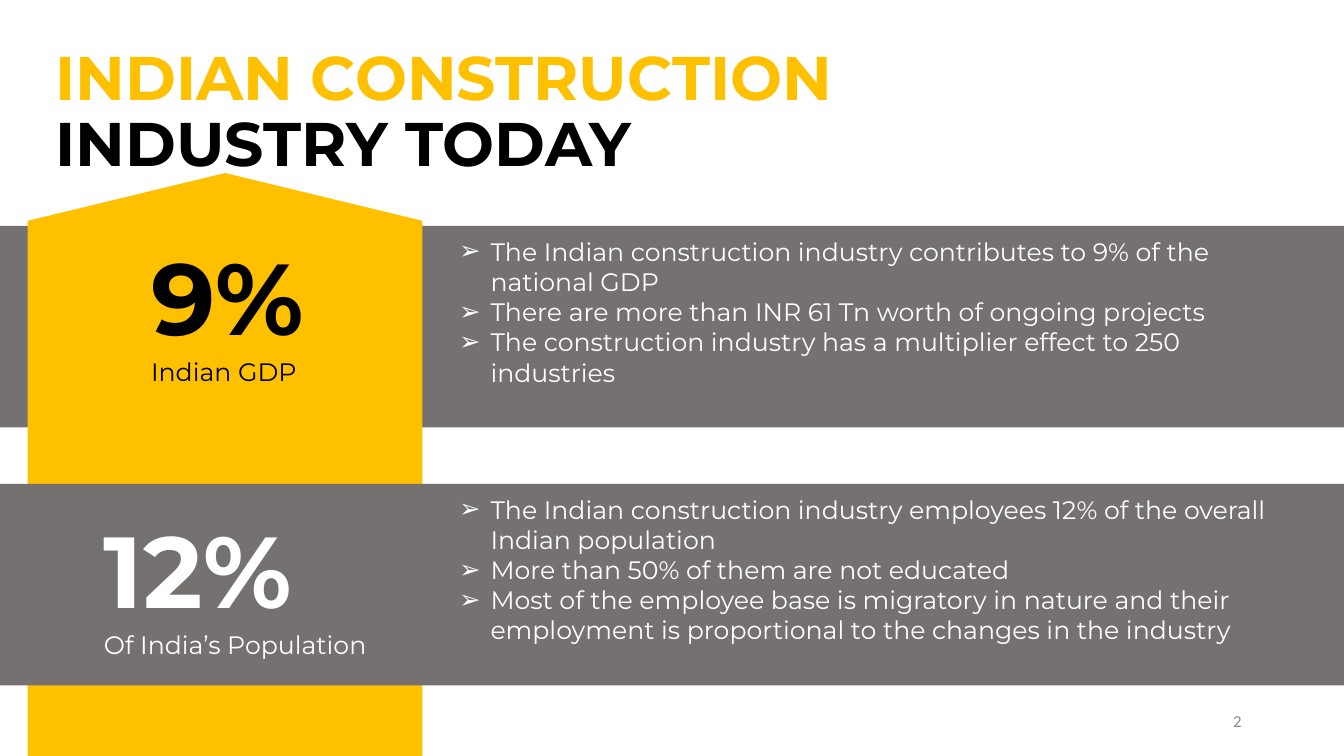
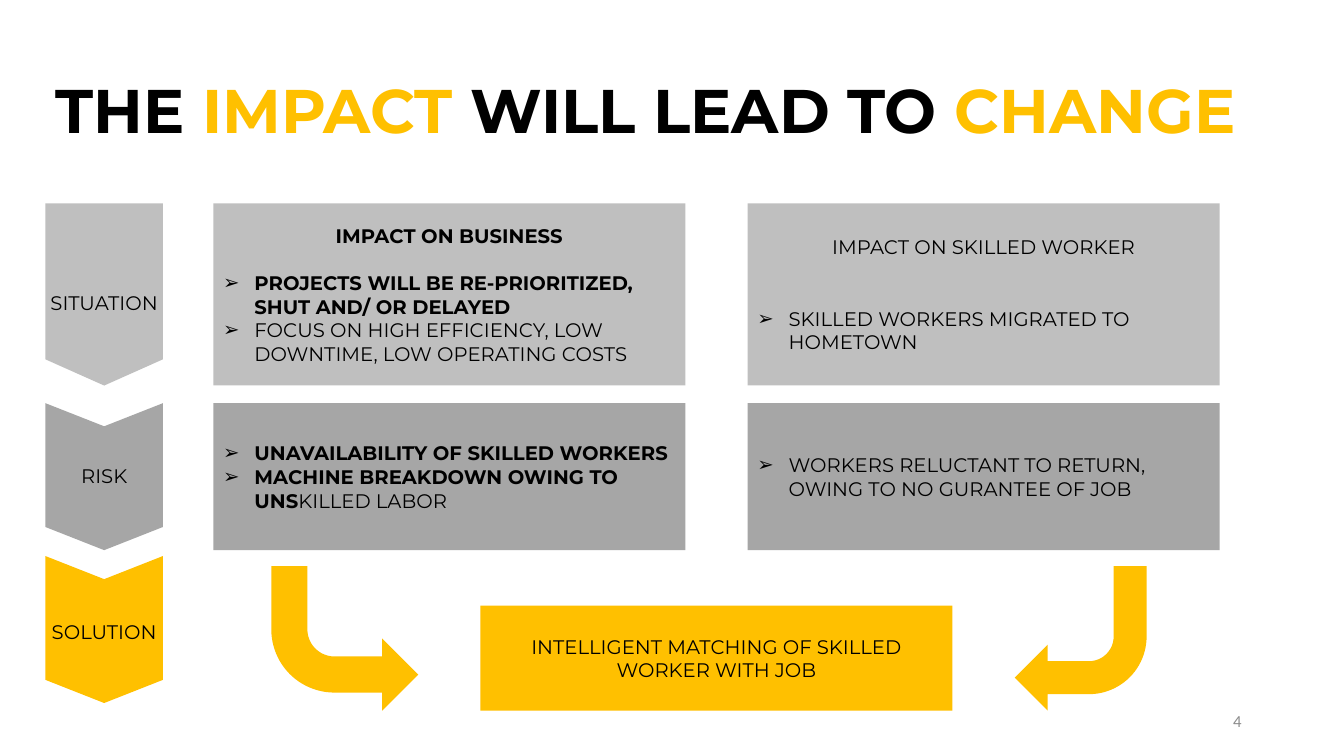
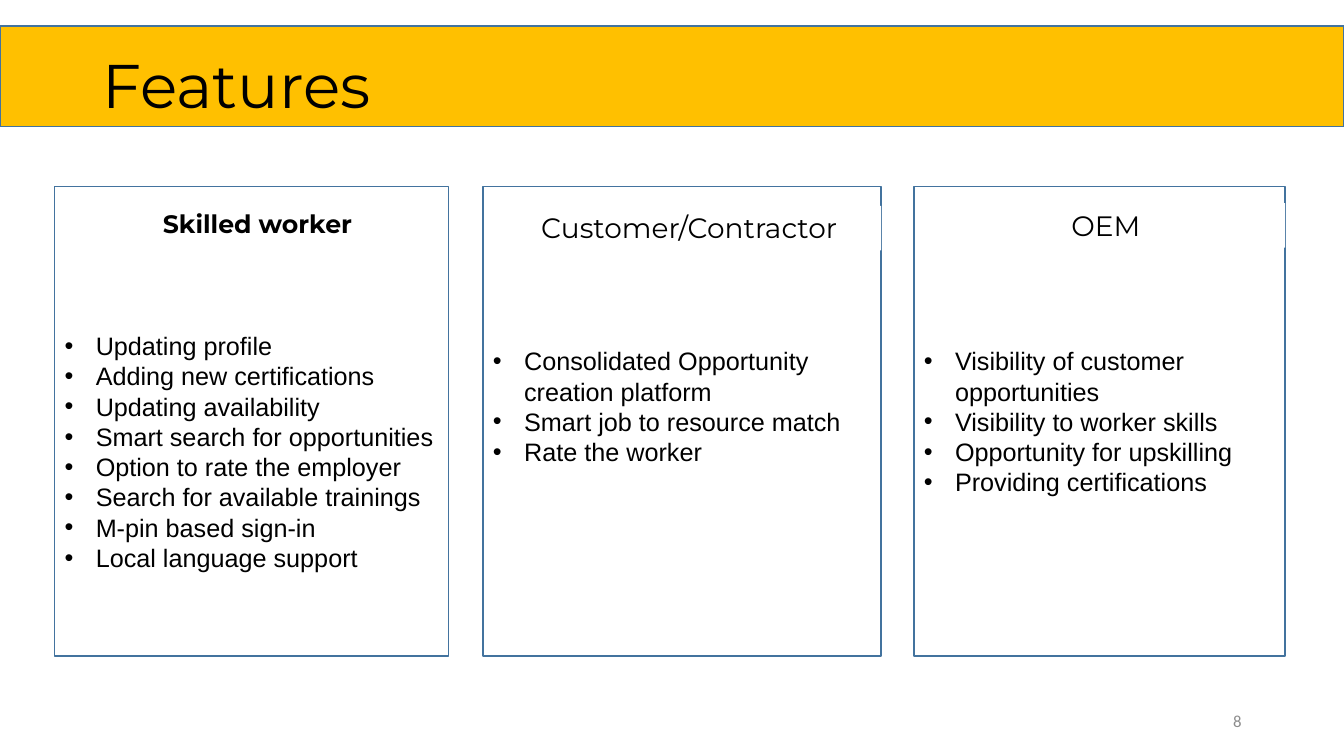
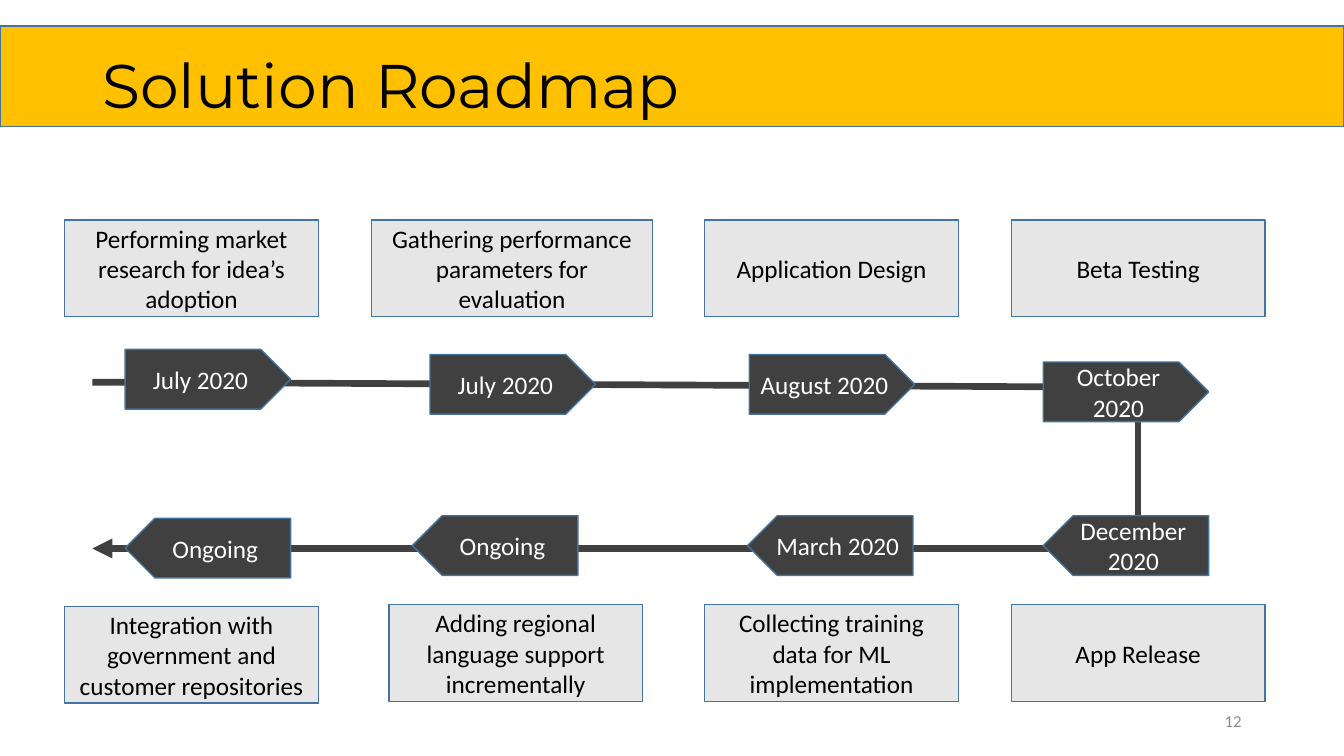
from dataclasses import dataclass
from typing import Optional, Sequence

import pptx
import pptx.dml.color
import pptx.enum.shapes
import pptx.enum.text
import pptx.oxml
import pptx.oxml.ns
import pptx.util
from lxml import etree

ALIGN = pptx.enum.text.PP_ALIGN
ANCHOR = pptx.enum.text.MSO_ANCHOR
SHAPE = pptx.enum.shapes.MSO_SHAPE
qn = pptx.oxml.ns.qn


@dataclass(frozen=True)
class Theme:
    yellow: str = "FFC000"
    black: str = "000000"
    white: str = "FFFFFF"
    band: str = "767171"
    light: str = "BFBFBF"
    mid: str = "A6A6A6"
    dark: str = "404040"
    card: str = "E7E6E6"
    outline: str = "43739E"
    number: str = "8C8C8C"
    heading: str = "Montserrat"
    listing: str = "Arial"
    plain: str = "Calibri"
    stat_size: int = 72
    title_size: int = 44
    header_size: int = 20
    body_size: int = 18
    box_size: int = 14
    number_size: int = 12
    hairline: float = 1
    route: float = 4.75


T = Theme()
COLUMNS, ROWS = 160, 90
CELL = pptx.util.Inches(1 / 12)


@dataclass(frozen=True)
class Box:
    col: float
    row: float
    cols: float
    rows: float


@dataclass(frozen=True)
class Style:
    size: int = T.body_size
    font: str = T.heading
    color: str = T.black
    bold: bool = False


@dataclass(frozen=True)
class Run:
    text: str
    bold: Optional[bool] = None
    color: Optional[str] = None
    size: Optional[int] = None
    breaks: bool = False


@dataclass(frozen=True)
class Para:
    runs: Sequence[Run]
    align: ALIGN = ALIGN.LEFT
    bullet: str = ""
    after: float = 0
    spacing: Optional[float] = None


@dataclass(frozen=True)
class Panel:
    col: float
    cols: float
    header: str
    header_box: Box
    header_style: Style
    items: Sequence[str]
    lead: float = 0
    trail: float = 0


@dataclass(frozen=True)
class Step:
    date: str
    plate_col: float
    plate_row: float
    task: str
    card_col: float
    card_row: float
    card_cols: float = 30.2
    backward: bool = False


def grid(n: float) -> int:
    return round(n * CELL)


def rgb(value: str) -> pptx.dml.color.RGBColor:
    return pptx.dml.color.RGBColor.from_string(value)


def centred(text: str, after: float = 0) -> Para:
    return Para([Run(text)], ALIGN.CENTER, after=after)


def arrowed(*runs: Run) -> Para:
    return Para(runs, bullet="➢")


def write(tf, paras: Sequence[Para], style: Style, anchor=ANCHOR.TOP) -> None:
    tf.word_wrap = True
    tf.vertical_anchor = anchor
    for i, para in enumerate(paras):
        p = tf.add_paragraph() if i else tf.paragraphs[0]
        p.alignment = para.align
        p.space_before = pptx.util.Pt(0)
        p.space_after = pptx.util.Pt(para.after)
        if para.spacing:
            p.line_spacing = para.spacing
        if para.bullet:
            pPr = p._p.get_or_add_pPr()
            indent = pptx.util.Inches(0.31)
            pPr.set("marL", str(indent))
            pPr.set("indent", str(-indent))
            etree.SubElement(pPr, qn("a:buFont")).set("typeface", T.listing)
            etree.SubElement(pPr, qn("a:buChar")).set("char", para.bullet)
        for run in para.runs:
            r = p.add_run()
            r.text = run.text
            r.font.name = style.font
            r.font.size = pptx.util.Pt(run.size or style.size)
            r.font.bold = style.bold if run.bold is None else run.bold
            r.font.color.rgb = rgb(run.color or style.color)
            if run.breaks:
                p.add_line_break()


def place(sp, box: Box) -> None:
    sp.left, sp.top = grid(box.col), grid(box.row)
    sp.width, sp.height = grid(box.cols), grid(box.rows)


def add_text(s, box: Box, paras: Sequence[Para], style: Style, anchor=ANCHOR.TOP) -> None:
    sp = s.shapes.add_textbox(0, 0, 0, 0)
    place(sp, box)
    write(sp.text_frame, paras, style, anchor)


def add_block(s, box: Box, fill: str, kind=SHAPE.RECTANGLE, line: str = "",
              turn: int = 0, flip: bool = False, adjust: Optional[float] = None):
    sp = s.shapes.add_shape(kind, 0, 0, 0, 0)
    if turn % 180:
        shift = (box.cols - box.rows) / 2
        box = Box(box.col + shift, box.row - shift, box.rows, box.cols)
    place(sp, box)
    sp.rotation = turn
    sp.shadow.inherit = False
    sp.fill.solid()
    sp.fill.fore_color.rgb = rgb(fill)
    if line:
        sp.line.color.rgb = rgb(line)
        sp.line.width = pptx.util.Pt(T.hairline)
    else:
        sp.line.fill.background()
    if flip:
        sp._element.spPr.find(qn("a:xfrm")).set("flipH", "1")
    if adjust is not None:
        sp.adjustments[0] = adjust
    return sp


def add_arrow(s, start: tuple[float, float], end: tuple[float, float]) -> None:
    c = s.shapes.add_connector(pptx.enum.shapes.MSO_CONNECTOR.STRAIGHT,
                               *map(grid, start + end))
    c.line.color.rgb = rgb(T.dark)
    c.line.width = pptx.util.Pt(T.route)
    spPr = c._element.spPr
    etree.SubElement(spPr.find(qn("a:ln")), qn("a:tailEnd")).set("type", "triangle")
    etree.SubElement(spPr, qn("a:effectLst"))


def add_title(s, box: Box, runs: Sequence[Run], bold: bool) -> None:
    sp = s.shapes.title
    place(sp, box)
    sp._element.getparent().append(sp._element)
    write(sp.text_frame, [Para(runs, spacing=0.9)],
          Style(T.title_size, bold=bold), ANCHOR.MIDDLE)


def new_slide(prs, number: int):
    s = prs.slides.add_slide(prs.slide_layouts[5])
    add_text(s, Box(113, 83.4, 36, 4.8), [Para([Run(str(number))], ALIGN.RIGHT)],
             Style(T.number_size, T.plain, T.number), ANCHOR.MIDDLE)
    return s


def headline_slide(prs, number: int, *runs: Run):
    s = new_slide(prs, number)
    add_title(s, Box(5.4, 4.8, 148.6, 17.4), runs, True)
    return s


def banner_slide(prs, number: int, title: str):
    s = new_slide(prs, number)
    add_block(s, Box(0, 3.1, COLUMNS, 12), T.yellow, line=T.outline)
    add_title(s, Box(11, 4.8, 138, 11.6), [Run(title)], False)
    return s


def build_industry(prs) -> None:
    s = headline_slide(prs, 2, Run("INDIAN CONSTRUCTION", color=T.yellow, breaks=True),
                       Run("INDUSTRY TODAY"))
    gdp_row, people_row = 26.9, 57.6
    facts = {
        gdp_row: ("The Indian construction industry contributes to 9% of the national GDP",
                  "There are more than INR 61 Tn worth of ongoing projects",
                  "The construction industry has a multiplier effect to 250 industries"),
        people_row: ("The Indian construction industry employees 12% of the overall Indian population",
                     "More than 50% of them are not educated",
                     "Most of the employee base is migratory in nature and their employment "
                     "is proportional to the changes in the industry"),
    }
    add_block(s, Box(0, gdp_row, COLUMNS, 24), T.band)
    add_block(s, Box(3.3, 20.6, 47, 69.4), T.yellow, SHAPE.PENTAGON, turn=270, adjust=0.121)
    add_block(s, Box(0, people_row, COLUMNS, 24), T.band)
    for row, lines in facts.items():
        add_text(s, Box(53.5, row + 0.6, 99.6, 23), [arrowed(Run(x)) for x in lines],
                 Style(color=T.white))
    for box, value, label, color in (
        (Box(16.8, 27.4, 23.6, 19.4), "9%", "Indian GDP", T.black),
        (Box(11.2, 59.9, 36.7, 19.4), "12%", "Of India’s Population", T.white),
    ):
        add_text(s, box, [Para([Run(value, True, size=T.stat_size)]), Para([Run(label)])],
                 Style(color=color))


def build_impact(prs) -> None:
    s = headline_slide(prs, 4, Run("THE "), Run("IMPACT", color=T.yellow),
                       Run(" WILL LEAD TO "), Run("CHANGE", color=T.yellow))
    style = Style(T.box_size)
    business, worker, width = 25.4, 89, 56.2
    situation, risk, solution = (24.2, 21.7), (48, 17.5), (66.2, 17.5)
    blank_line = 17
    boxes = (
        (business, situation, T.light, [
            Para([Run("IMPACT ON BUSINESS", True)], ALIGN.CENTER, after=blank_line),
            arrowed(Run("PROJECTS WILL BE RE-PRIORITIZED, SHUT AND/ OR DELAYED", True)),
            arrowed(Run("FOCUS ON HIGH EFFICIENCY, LOW DOWNTIME, LOW OPERATING COSTS"))]),
        (worker, situation, T.light, [
            centred("IMPACT ON SKILLED WORKER", after=2 * blank_line),
            arrowed(Run("SKILLED WORKERS MIGRATED TO HOMETOWN"))]),
        (business, risk, T.mid, [
            arrowed(Run("UNAVAILABILITY OF SKILLED WORKERS", True)),
            arrowed(Run("MACHINE BREAKDOWN OWING TO UNS", True), Run("KILLED LABOR"))]),
        (worker, risk, T.mid, [
            arrowed(Run("WORKERS RELUCTANT TO RETURN, OWING TO NO GURANTEE OF JOB"))]),
        ((business + worker) / 2, (72.1, 12.5), T.yellow, [
            centred("INTELLIGENT MATCHING OF SKILLED WORKER WITH JOB")]),
    )
    for col, (row, rows), fill, paras in boxes:
        sp = add_block(s, Box(col, row, width, rows), fill)
        write(sp.text_frame, paras, style, ANCHOR.MIDDLE)
    for col, cols, flip in ((120.8, 15.7, False), (32.3, 17.5, True)):
        add_block(s, Box(col, 67.4, cols, 17.2), T.yellow, SHAPE.BENT_ARROW,
                  turn=180, flip=flip)
    for label, (row, rows), fill, kind, adjust, label_row in (
        ("SITUATION", situation, T.light, SHAPE.PENTAGON, 0.223, 34),
        ("RISK", risk, T.mid, SHAPE.CHEVRON, 0.197, 54.6),
        ("SOLUTION", solution, T.yellow, SHAPE.CHEVRON, 0.197, 73.2),
    ):
        add_block(s, Box(5.4, row, 14, rows), fill, kind, turn=90, adjust=adjust)
        add_text(s, Box(1.3, label_row, 22.2, 4.1), [centred(label)], style)


def build_features(prs) -> None:
    s = banner_slide(prs, 8, "Features")
    large = Style(T.header_size)
    line_rows = 3.6
    panels = (
        Panel(6.5, 46.9, "Skilled worker", Box(8.4, 24.2, 44.5, 8.5), Style(bold=True),
              ("Updating profile", "Adding new certifications", "Updating availability",
               "Smart search for opportunities", "Option to rate the employer",
               "Search for available trainings", "M-pin based sign-in",
               "Local language support"), lead=2 * line_rows),
        Panel(57.5, 47.4, "Customer/Contractor", Box(59.2, 24.5, 45.7, 5.3), large,
              ("Consolidated Opportunity creation platform",
               "Smart job to resource match", "Rate the worker"), trail=line_rows),
        Panel(108.8, 44.2, "OEM", Box(110.3, 24.2, 42.7, 5.3), large,
              ("Visibility of customer opportunities", "Visibility to worker skills",
               "Opportunity for upskilling", "Providing certifications")),
    )
    for panel in panels:
        sp = add_block(s, Box(panel.col, 22.2, panel.cols, 55.9), T.white, line=T.outline)
        tf = sp.text_frame
        tf.margin_top = grid(0.6 + panel.lead)
        tf.margin_bottom = grid(0.6 + panel.trail)
        write(tf, [Para([Run(x)], bullet="•") for x in panel.items],
              Style(font=T.listing), ANCHOR.MIDDLE)
        header = add_block(s, panel.header_box, T.white)
        write(header.text_frame, [centred(panel.header)], panel.header_style)


def build_roadmap(prs) -> None:
    s = banner_slide(prs, 12, "Solution Roadmap")
    top, bottom = 26.2, 72
    steps = (
        Step("July 2020", 14.9, 41.6, "Performing market research for idea’s adoption", 7.7, top),
        Step("July 2020", 51.2, 42.2, "Gathering performance parameters for evaluation",
             44.2, top, 33.5),
        Step("August 2020", 89.2, 42.2, "Application Design", 83.9, top),
        Step("October 2020", 124.2, 43.1, "Beta Testing", 120.4, top),
        Step("December 2020", 124.2, 61.4, "App Release", 120.4, bottom, backward=True),
        Step("March 2020", 89, 61.4, "Collecting training data for ML implementation",
             83.9, bottom, backward=True),
        Step("Ongoing", 49.1, 61.4, "Adding regional language support incrementally",
             46.3, bottom, backward=True),
        Step("Ongoing", 14.9, 61.7, "Integration with government and customer repositories",
             7.7, 72.2, backward=True),
    )
    left, right = 11, 135.5
    add_arrow(s, (left, 45.5), (right, 46.1))
    add_arrow(s, (right, 65.3), (left, 65.3))
    add_arrow(s, (right, 46.1), (right, 66.1))
    for step in steps:
        card = add_block(s, Box(step.card_col, step.card_row, step.card_cols, 11.5),
                         T.card, line=T.outline)
        write(card.text_frame, [centred(step.task)], Style(font=T.plain), ANCHOR.MIDDLE)
        plate = add_block(s, Box(step.plate_col, step.plate_row, 19.7, 7.1), T.dark,
                          SHAPE.PENTAGON, T.outline, flip=step.backward)
        write(plate.text_frame, [centred(step.date)],
              Style(font=T.plain, color=T.white), ANCHOR.MIDDLE)


def main() -> None:
    prs = pptx.Presentation()
    prs.slide_width, prs.slide_height = grid(COLUMNS), grid(ROWS)
    for build in (build_industry, build_impact, build_features, build_roadmap):
        build(prs)
    prs.save("out.pptx")


if __name__ == "__main__":
    main()
